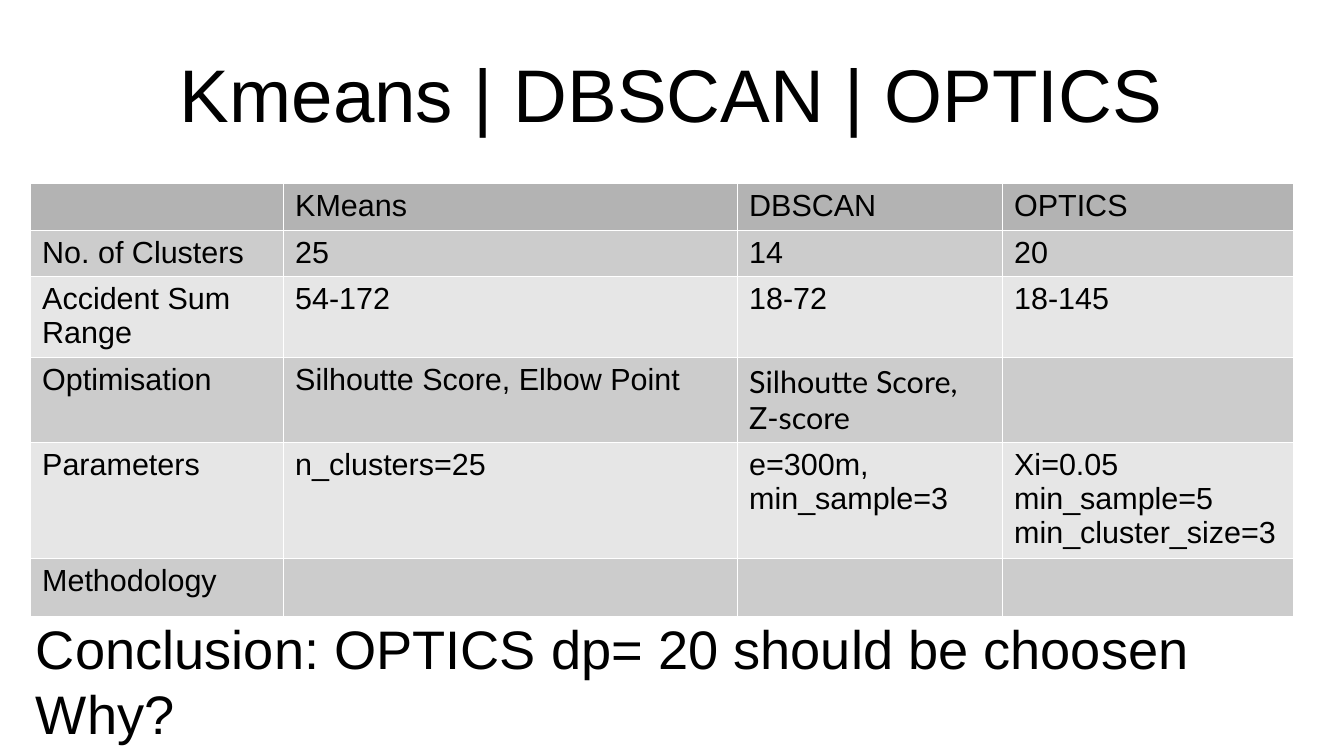
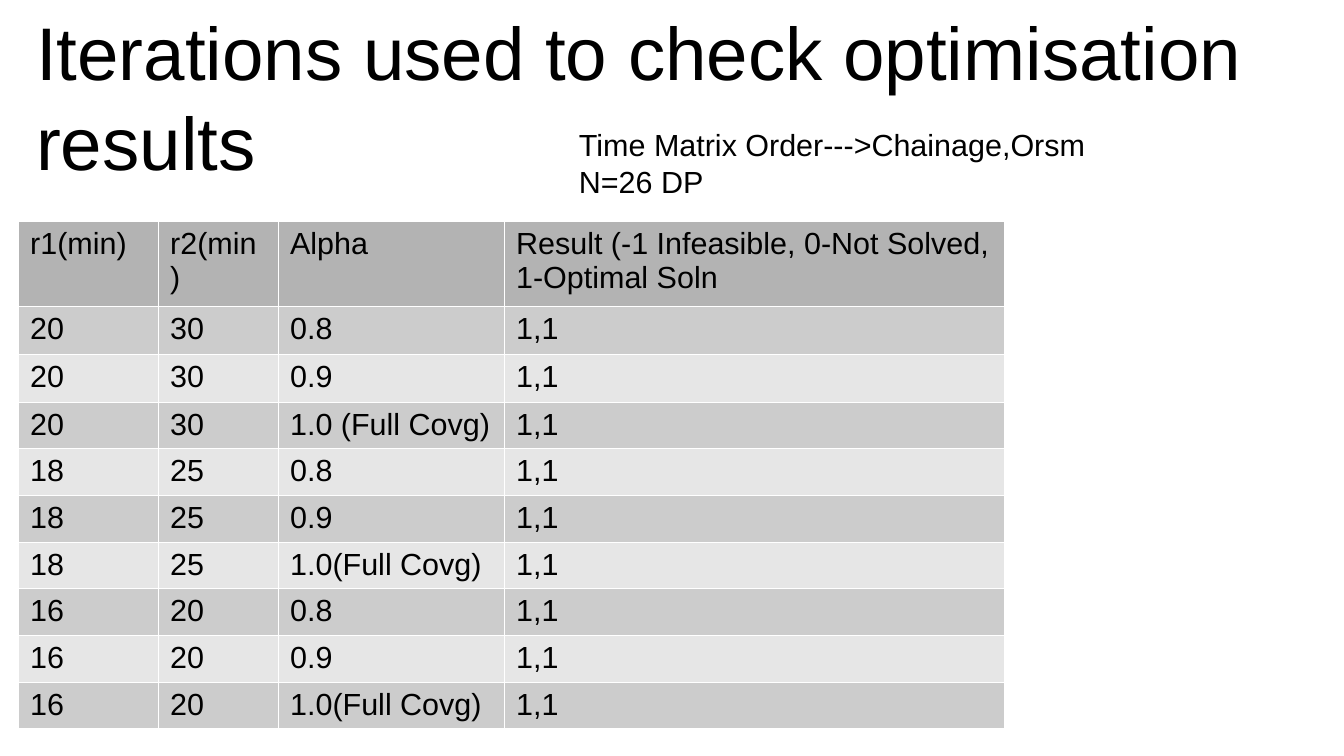
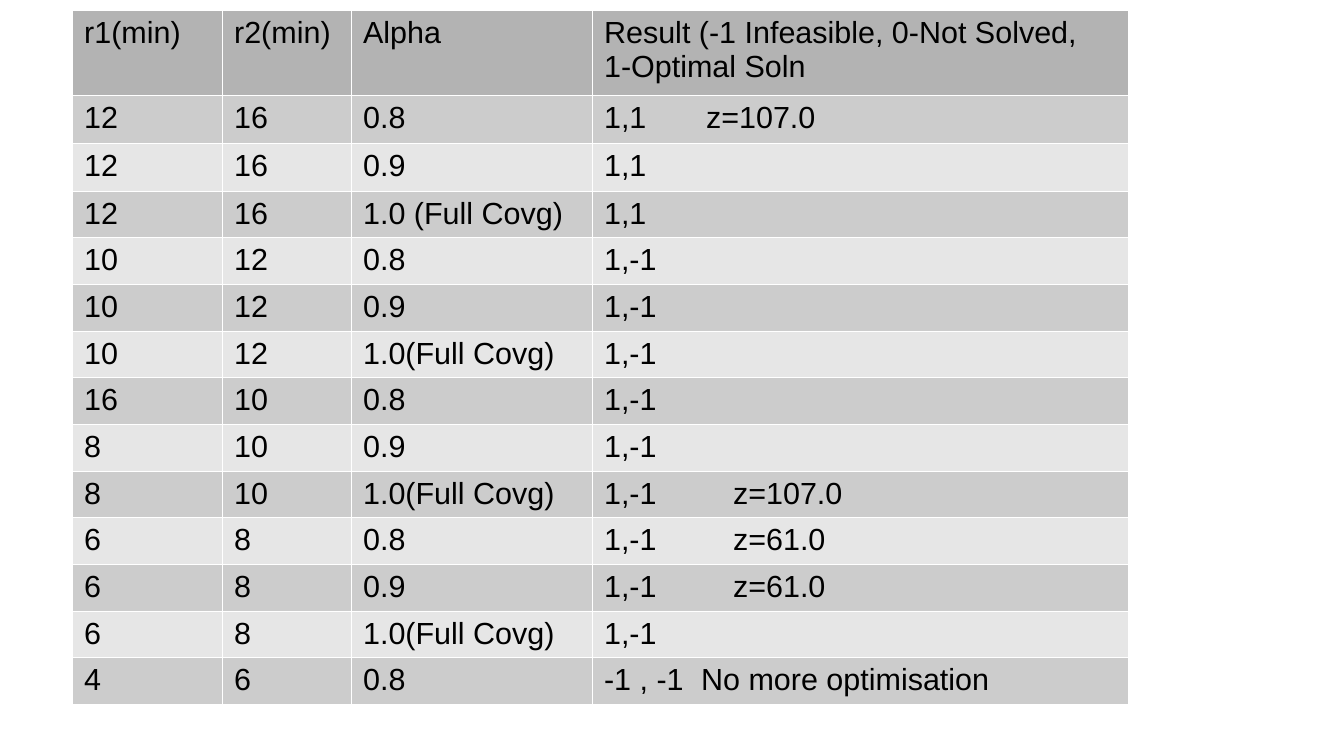
import itertools

import lxml.etree
import pptx
import pptx.dml.color
import pptx.enum.text
import pptx.oxml
import pptx.oxml.ns
import pptx.util

EMU_PER_PX = 914400 / 122
SLIDE_WIDTH, SLIDE_HEIGHT = 1344, 756
COLORS = {
    "text": "000000",
    "header": "B3B3B3",
    "odd": "CCCCCC",
    "even": "E6E6E6",
    "border": "FFFFFF",
}
FONT = "Arial"
TITLE_SIZE, CONCLUSION_SIZE, BODY_SIZE = 44, 32, 18
LINE_FACTOR = 1.2
BORDER_WIDTH = 762
NOTE_TAB_STOPS = {"1,1": 102, "1,-1": 129, "-1 , -1": 97}

COMPARISON = [
    ("", "KMeans", "DBSCAN", "OPTICS"),
    ("No. of Clusters", "25", "14", "20"),
    ("Accident Sum Range", "54-172", "18-72", "18-145"),
    ("Optimisation", "Silhoutte Score, Elbow Point", "Silhoutte Score, Z-score", ""),
    ("Parameters", "n_clusters=25", "e=300m, min_sample=3",
     "Xi=0.05\nmin_sample=5\nmin_cluster_size=3"),
    ("Methodology", "", "", ""),
]
ITERATION_HEADER = (
    "r1(min)", "r2(min)", "Alpha",
    "Result (-1 Infeasible, 0-Not Solved,\n1-Optimal Soln",
)
FEASIBLE_ITERATIONS = [
    ("20", "30", "0.8", "1,1"),
    ("20", "30", "0.9", "1,1"),
    ("20", "30", "1.0 (Full Covg)", "1,1"),
    ("18", "25", "0.8", "1,1"),
    ("18", "25", "0.9", "1,1"),
    ("18", "25", "1.0(Full Covg)", "1,1"),
    ("16", "20", "0.8", "1,1"),
    ("16", "20", "0.9", "1,1"),
    ("16", "20", "1.0(Full Covg)", "1,1"),
]
TIGHTER_ITERATIONS = [
    ("12", "16", "0.8", "1,1\tz=107.0"),
    ("12", "16", "0.9", "1,1"),
    ("12", "16", "1.0 (Full Covg)", "1,1"),
    ("10", "12", "0.8", "1,-1"),
    ("10", "12", "0.9", "1,-1"),
    ("10", "12", "1.0(Full Covg)", "1,-1"),
    ("16", "10", "0.8", "1,-1"),
    ("8", "10", "0.9", "1,-1"),
    ("8", "10", "1.0(Full Covg)", "1,-1\tz=107.0"),
    ("6", "8", "0.8", "1,-1\tz=61.0"),
    ("6", "8", "0.9", "1,-1\tz=61.0"),
    ("6", "8", "1.0(Full Covg)", "1,-1"),
    ("4", "6", "0.8", "-1 , -1\tNo more optimisation"),
]


def px(length):
    return pptx.util.Emu(round(length * EMU_PER_PX))


def rgb(role):
    return pptx.dml.color.RGBColor.from_string(COLORS[role])


def set_font(paragraph, size, family=FONT):
    paragraph.font.size = pptx.util.Pt(size)
    paragraph.font.name = family
    paragraph.font.color.rgb = rgb("text")


def add_text(slide, box, text, size, centered=False):
    frame = slide.shapes.add_textbox(*map(px, box)).text_frame
    frame.word_wrap = True
    frame.text = text
    if centered:
        frame.vertical_anchor = pptx.enum.text.MSO_ANCHOR.MIDDLE
        frame.margin_left = frame.margin_right = 0
        frame.margin_top = frame.margin_bottom = 0
    for paragraph in frame.paragraphs:
        if centered:
            paragraph.alignment = pptx.enum.text.PP_ALIGN.CENTER
        paragraph.line_spacing = pptx.util.Pt(size * LINE_FACTOR)
        set_font(paragraph, size)


def add_tab_stop(paragraph, position):
    properties = paragraph._p.get_or_add_pPr()
    stops = lxml.etree.SubElement(properties, pptx.oxml.ns.qn("a:tabLst"))
    lxml.etree.SubElement(stops, pptx.oxml.ns.qn("a:tab"), pos=str(px(position)), algn="l")


def set_borders(cell):
    properties = cell._tc.get_or_add_tcPr()
    for index, side in enumerate(("lnL", "lnR", "lnT", "lnB")):
        border = pptx.oxml.parse_xml(
            f'<a:{side} {pptx.oxml.ns.nsdecls("a")} w="{BORDER_WIDTH}"><a:solidFill>'
            f'<a:srgbClr val="{COLORS["border"]}"/></a:solidFill></a:{side}>'
        )
        properties.insert(index, border)


def fill_cell(cell, text, role, family):
    cell.fill.solid()
    cell.fill.fore_color.rgb = rgb(role)
    set_borders(cell)
    cell.margin_bottom = 0
    cell.text = text
    for paragraph in cell.text_frame.paragraphs:
        value, tab, note = paragraph.text.partition("\t")
        if tab:
            add_tab_stop(paragraph, NOTE_TAB_STOPS[value])
        set_font(paragraph, BODY_SIZE, family)


def add_grid(slide, left, top, widths, heights, rows, families=None):
    families = families or {}
    table = slide.shapes.add_table(
        len(rows), len(widths), px(left), px(top), px(sum(widths)), px(sum(heights))
    ).table
    table.first_row = False
    table.horz_banding = False
    for column, width in zip(table.columns, widths):
        column.width = px(width)
    for index, (texts, height) in enumerate(zip(rows, heights)):
        table.rows[index].height = px(height)
        role = "header" if index == 0 else "odd" if index % 2 else "even"
        for position, text in enumerate(texts):
            family = families.get((index, position), FONT)
            fill_cell(table.cell(index, position), text, role, family)


def add_iterations(slide, left, top, widths, iterations):
    body_heights = itertools.islice(itertools.cycle((46, 47, 47)), len(iterations) - 2)
    heights = [85, 48, 48, *body_heights]
    add_grid(slide, left, top, widths, heights, [ITERATION_HEADER] + iterations)


def main():
    deck = pptx.Presentation()
    deck.slide_width, deck.slide_height = px(SLIDE_WIDTH), px(SLIDE_HEIGHT)
    blank = deck.slide_layouts[6]

    comparison = deck.slides.add_slide(blank)
    add_text(comparison, (67, 30, 1210, 126), "Kmeans | DBSCAN | OPTICS", TITLE_SIZE, centered=True)
    add_grid(comparison, 30, 183, (253, 454, 265, 291), (47, 46, 81, 85, 115, 58),
             COMPARISON, {(3, 2): "Lato"})
    add_text(comparison, (24, 609, 1259, 133),
             "Conclusion: OPTICS dp= 20 should be choosen\nWhy?", CONCLUSION_SIZE)

    feasible = deck.slides.add_slide(blank)
    add_text(feasible, (24, 0, 1285, 179),
             "Iterations used to check optimisation results", TITLE_SIZE)
    add_iterations(feasible, 18, 221, (140, 120, 226, 500), FEASIBLE_ITERATIONS)
    add_text(feasible, (567, 120, 730, 81),
             "Time Matrix Order--->Chainage,Orsm\nN=26 DP", BODY_SIZE)

    tighter = deck.slides.add_slide(blank)
    add_iterations(tighter, 72, 10, (150, 129, 241, 536), TIGHTER_ITERATIONS)

    deck.save("out.pptx")


if __name__ == "__main__":
    main()
